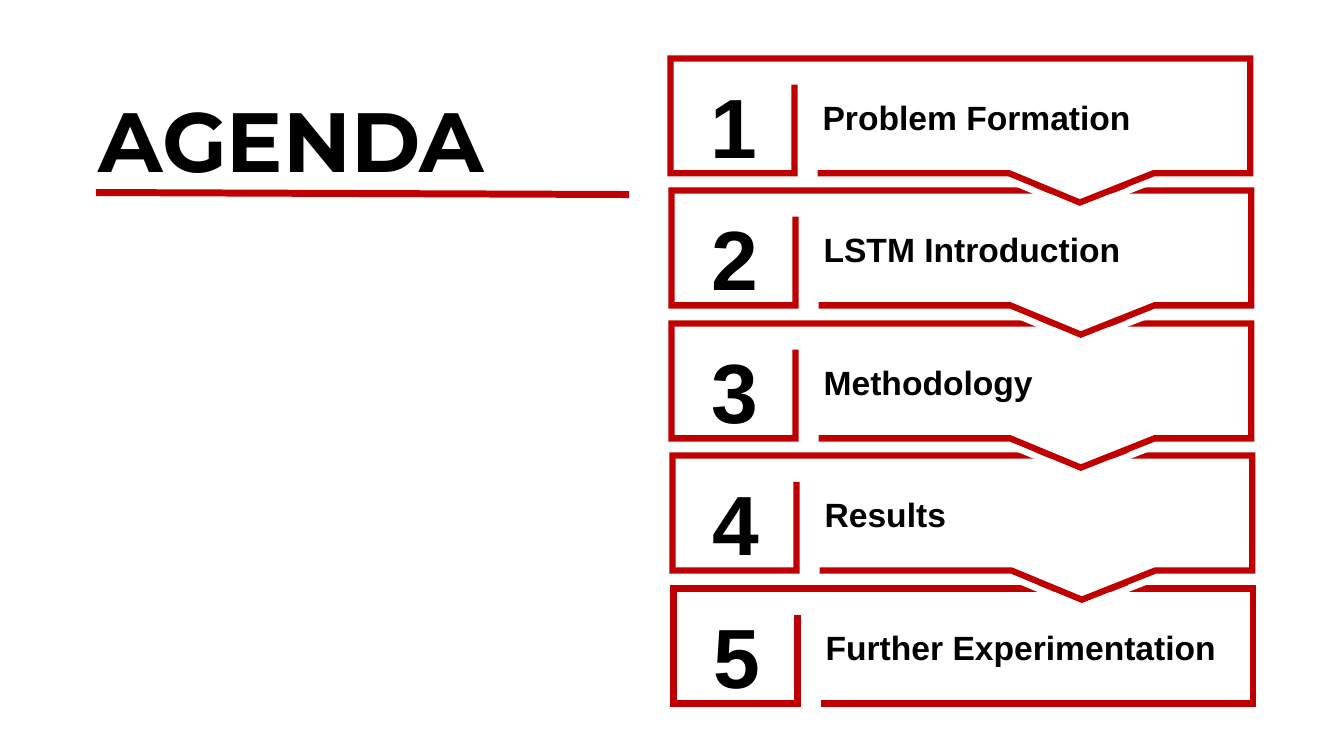
from lxml.etree import SubElement
from pptx import Presentation
from pptx.dml.color import RGBColor as Rgb
from pptx.enum.shapes import MSO_CONNECTOR as Conn
from pptx.enum.text import MSO_ANCHOR as Anchor, PP_ALIGN as Align
from pptx.oxml.ns import qn
from pptx.util import Pt

PX = 9144
HUES = {"red": "C00000", "black": "000000", "white": "FFFFFF"}
TOPICS = ["Problem Formation", "LSTM Introduction", "Methodology",
          "Results", "Further Experimentation"]
NOTCH = [(336, 114), (406, 143), (479, 114)]
FRAME = [(575, 114), (575, 0), (0, 0), (0, 114), (123, 114), (123, 26)]
CHEVRON = [(336, 121), (406, 150), (480, 121)]


def hue(name):
    return Rgb.from_string(HUES[name])


def write(shapes, box, text, font, size, anchor, space, align=Align.LEFT):
    area = shapes.add_textbox(*(v * PX for v in box))
    frame = area.text_frame
    frame.word_wrap = True
    frame.vertical_anchor = anchor
    par = frame.paragraphs[0]
    par.text = text
    par.alignment = align
    par.line_spacing = space
    par.font.name = font
    par.font.size = Pt(size)
    par.font.bold = True
    par.font.color.rgb = hue(name="black")


def trace(shapes, x, y, points, color, fill=None):
    spots = [(x + dx, y + dy) for dx, dy in points]
    pen = shapes.build_freeform(*spots[0], scale=PX)
    pen.add_line_segments(spots[1:], close=False)
    shape = pen.convert_to_shape()
    shape.shadow.inherit = False
    if fill:
        shape.fill.solid()
        shape.fill.fore_color.rgb = hue(fill)
    else:
        shape.fill.background()
    shape.line.color.rgb = hue(color)
    shape.line.width = Pt(4.5)
    edge = shape.line._get_or_add_ln()
    SubElement(edge, qn("a:miter"), lim="800000")


def add_card(slide, x, y, num, topic, last):
    shapes = slide.shapes.add_group_shape().shapes
    notch = [] if last else NOTCH
    trace(shapes, x, y, [(146, 114)] + notch + FRAME, "red", "white")
    write(shapes, (x + 141, y - 6, 411, 108), topic, "Arial", 24,
          Anchor.MIDDLE, 1.5)
    write(shapes, (x - 1, y - 20, 127, 122), str(num), "Arial", 60,
          Anchor.MIDDLE, 1.5, Align.CENTER)
    if not last:
        trace(shapes, x, y, CHEVRON, "white")


def add_cards(slide, x, y):
    count = len(TOPICS)
    for i in reversed(range(count)):
        add_card(slide, x + round(i * 0.7), y + i * 263 // 2,
                 i + 1, TOPICS[i], i == count - 1)


def add_title(slide, x, y):
    write(slide.shapes, (x, y, 1201, 101), "AGENDA", "Montserrat", 60,
          Anchor.BOTTOM, 0.9)
    ends = (x + 7, y + 98, x + 536, y + 100)
    rule = slide.shapes.add_connector(Conn.STRAIGHT, *(v * PX for v in ends))
    rule.line.color.rgb = hue("red")
    rule.line.width = Pt(5)
    SubElement(rule._element.spPr, qn("a:effectLst"))


def main():
    deck = Presentation()
    deck.slide_width = 1333 * PX
    deck.slide_height = 750 * PX
    slide = deck.slides.add_slide(deck.slide_layouts[6])
    add_title(slide, 88, 93)
    add_cards(slide, 665, 58)
    deck.save("out.pptx")


if __name__ == "__main__":
    main()
